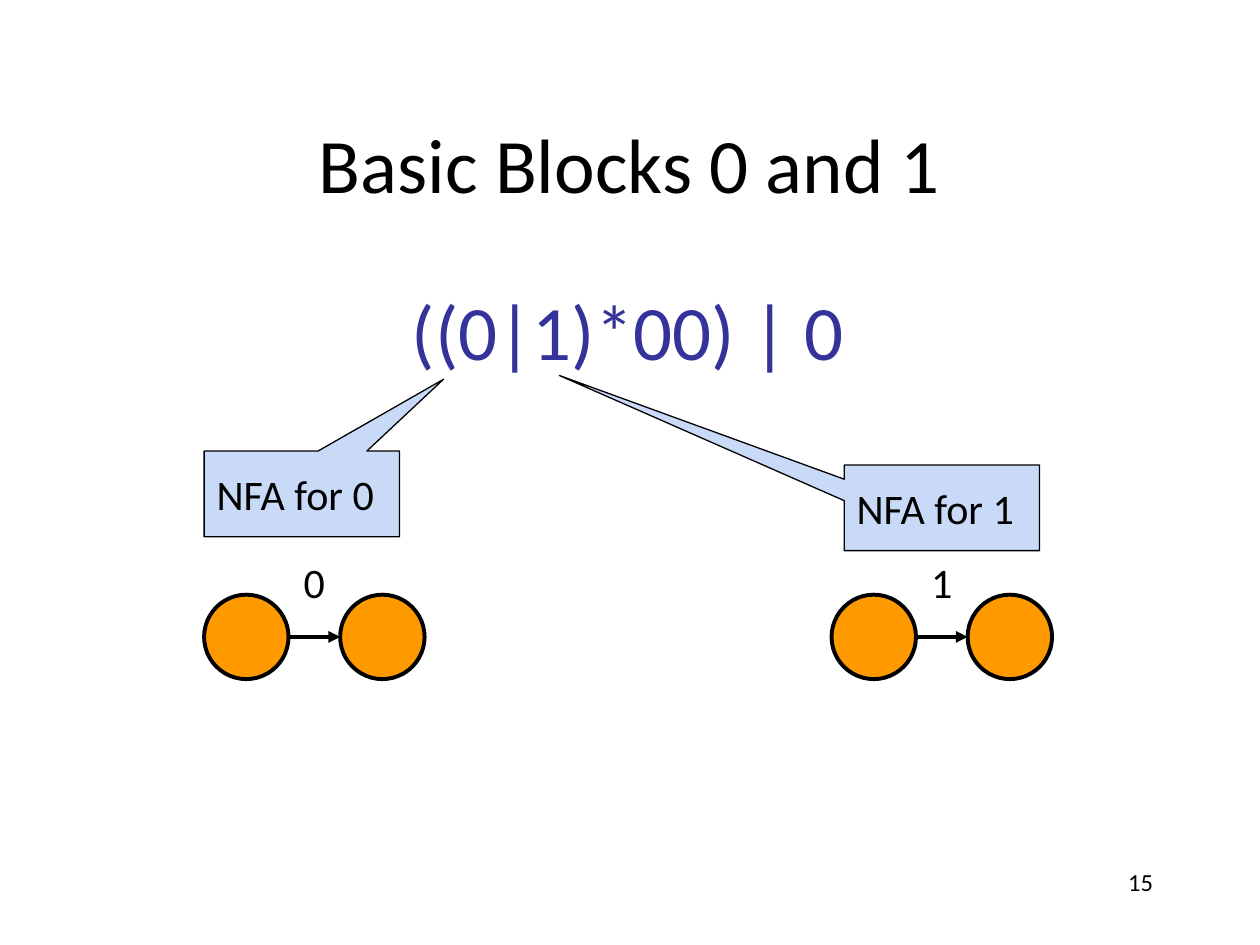
from dataclasses import dataclass

from lxml.etree import SubElement
from pptx import Presentation
from pptx.dml.color import RGBColor
from pptx.enum.shapes import MSO_CONNECTOR, MSO_SHAPE
from pptx.enum.text import MSO_ANCHOR, PP_ALIGN
from pptx.oxml.ns import qn
from pptx.util import Inches, Pt


@dataclass(frozen=True)
class Theme:
    """Colours, font and type sizes of the slide."""
    font: str = "Calibri"
    ink: RGBColor = RGBColor(0x00, 0x00, 0x00)
    blue: RGBColor = RGBColor(0x33, 0x33, 0x99)
    pale: RGBColor = RGBColor(0xC9, 0xDA, 0xF8)
    node: RGBColor = RGBColor(0xFF, 0x99, 0x00)
    head: Pt = Pt(44)
    label: Pt = Pt(24)
    small: Pt = Pt(14)
    thick: Pt = Pt(2.25)
    thin: Pt = Pt(0.75)


THEME = Theme()


def place(box):
    """Turn a box in inches into lengths."""
    return [Inches(side) for side in box]


def write(shape, text, size, color=THEME.ink, align=PP_ALIGN.LEFT,
          anchor=MSO_ANCHOR.TOP, pad=0.05):
    """Fill a shape with one styled paragraph."""
    frame = shape.text_frame
    frame.word_wrap = True
    frame.vertical_anchor = anchor
    frame.margin_left = frame.margin_right = Inches(0.1)
    frame.margin_top = frame.margin_bottom = Inches(pad)
    frame.text = text
    para = frame.paragraphs[0]
    para.alignment = align
    para.font.name = THEME.font
    para.font.size = size
    para.font.color.rgb = color


def paint(shape, fill, width):
    """Give a shape a flat fill and a dark outline."""
    shape.shadow.inherit = False
    shape.fill.solid()
    shape.fill.fore_color.rgb = fill
    shape.line.color.rgb = THEME.ink
    shape.line.width = width


def add_title(slide, box, text):
    """Move and fill the title placeholder."""
    title = slide.shapes.title
    title.left, title.top, title.width, title.height = place(box)
    write(title, text, THEME.head, align=PP_ALIGN.CENTER,
          anchor=MSO_ANCHOR.MIDDLE)


def add_text(shapes, box, text, size, **style):
    """Place a text box."""
    write(shapes.add_textbox(*place(box)), text, size, **style)


def add_arrow(shapes, start, end, y):
    """Draw a level arrow."""
    line = shapes.add_connector(MSO_CONNECTOR.STRAIGHT,
                                *place((start, y, end, y)))
    line.line.color.rgb = THEME.ink
    line.line.width = THEME.thick
    SubElement(line.line._get_or_add_ln(), qn("a:tailEnd"), type="triangle")
    SubElement(line._element.spPr, qn("a:effectLst"))


def add_nfa(slide, box, symbol):
    """Draw two states joined by a labelled arrow."""
    left, top, width, size = box
    right = left + width - size
    shapes = slide.shapes.add_group_shape().shapes
    for x in (left, right):
        state = shapes.add_shape(MSO_SHAPE.FLOWCHART_CONNECTOR,
                                 *place((x, top, size, size)))
        paint(state, THEME.node, THEME.thick)
    add_arrow(shapes, left + size, right, top + size / 2)
    side = 0.52
    add_text(shapes, (left + (width - side) / 2, top - 0.35, side, side),
             symbol, THEME.label, align=PP_ALIGN.CENTER)


def add_callout(slide, box, text, tip):
    """Place a square-cornered callout pointing at the tip."""
    left, top, width, height = box
    note = slide.shapes.add_shape(MSO_SHAPE.ROUNDED_RECTANGULAR_CALLOUT,
                                  *place(box))
    note.adjustments[0] = (tip[0] - left) / width - 0.5
    note.adjustments[1] = (tip[1] - top) / height - 0.5
    note.adjustments[2] = 0
    paint(note, THEME.pale, THEME.thin)
    write(note, text, THEME.label, anchor=MSO_ANCHOR.MIDDLE, pad=0.1)


def main():
    """Build and save the slide."""
    deck = Presentation()
    deck.slide_width, deck.slide_height = Inches(10), Inches(7.5)
    slide = deck.slides.add_slide(deck.slide_layouts[5])
    add_text(slide.shapes, (7.17, 6.83, 2.08, 0.5), "15", THEME.small,
             align=PP_ALIGN.RIGHT)
    add_title(slide, (0.75, 0.67, 8.5, 1.25), "Basic Blocks 0 and 1")
    add_text(slide.shapes, (3.17, 2.2, 3.67, 0.84), "((0|1)*00) | 0",
             THEME.head, color=THEME.blue)
    blocks = (
        ("0", 1.62, (1.62, 3.58), (3.52, 3.01)),
        ("1", 6.6, (6.7, 3.69), (4.44, 2.98)),
    )
    for symbol, left, corner, tip in blocks:
        add_nfa(slide, (left, 4.72, 1.75, 0.67), symbol)
        add_callout(slide, (*corner, 1.55, 0.68), f"NFA for {symbol}", tip)
    deck.save("out.pptx")


if __name__ == "__main__":
    main()
